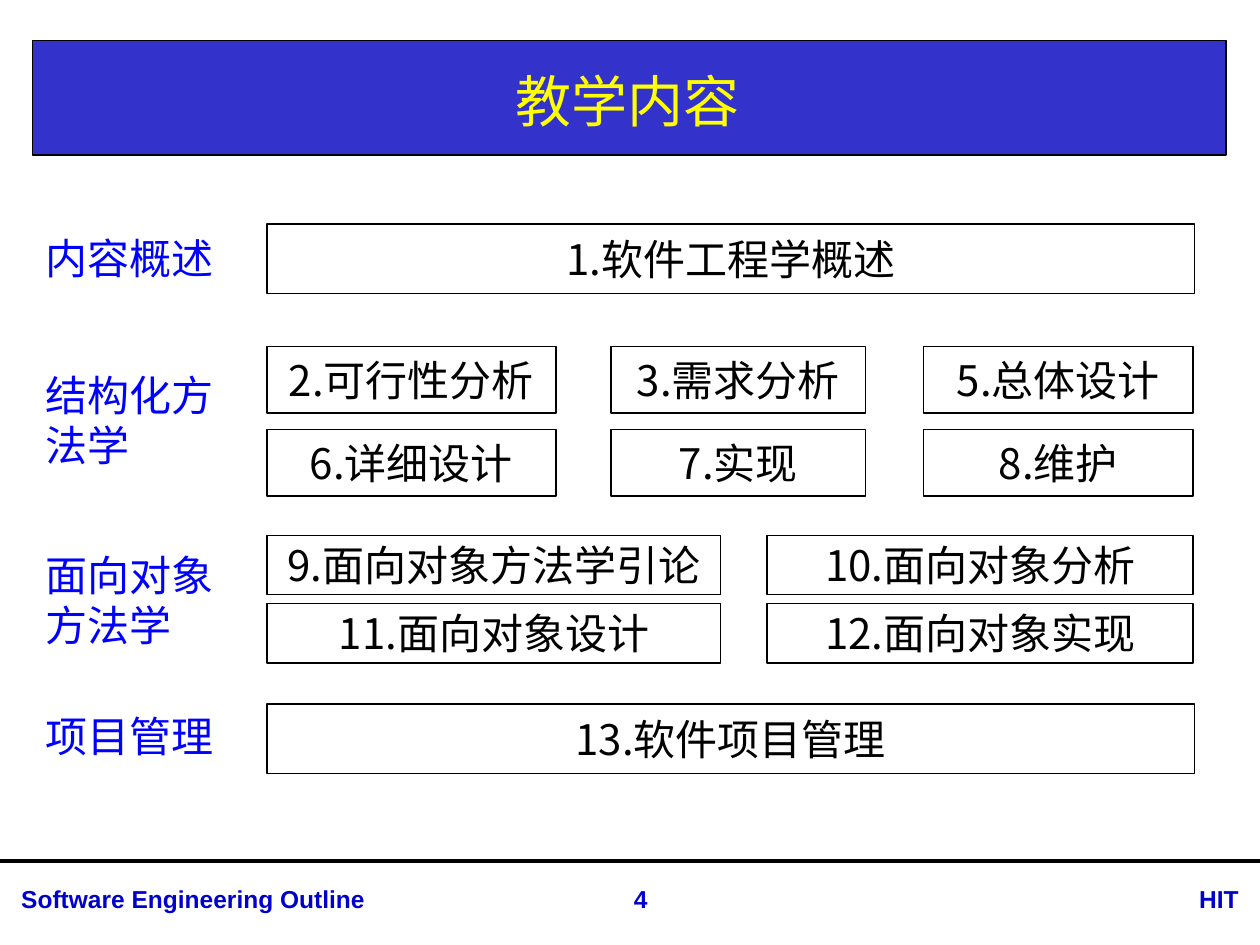
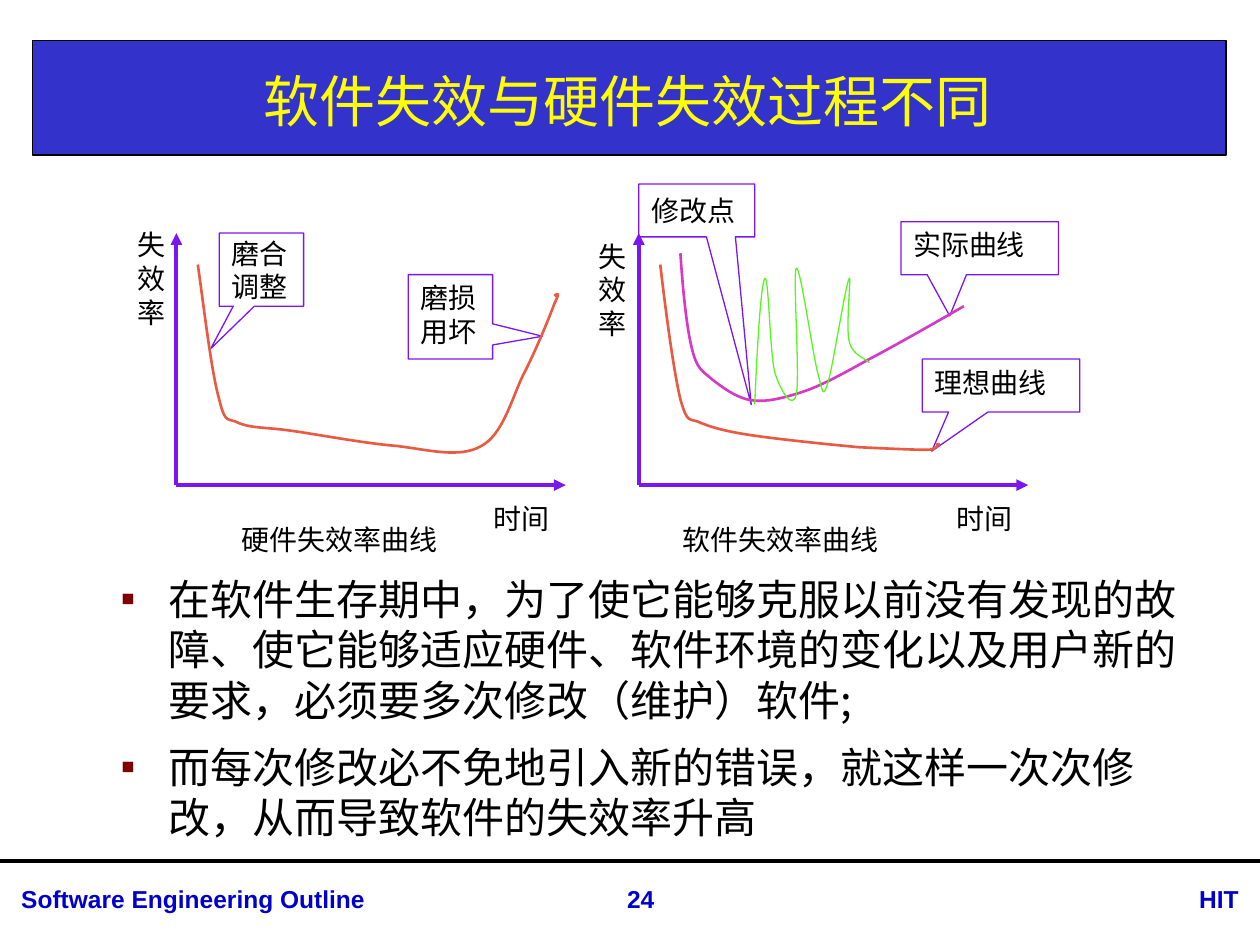
from lxml import etree
from pptx import Presentation
from pptx.dml.color import RGBColor
from pptx.enum import shapes, text
from pptx.oxml import ns
from pptx.util import Inches, Pt

BLACK = RGBColor(0x00, 0x00, 0x00)
BAND = RGBColor(0x33, 0x33, 0xCC)
YELLOW = RGBColor(0xFF, 0xFF, 0x00)
NAVY = RGBColor(0x00, 0x00, 0xCC)
BLUE = RGBColor(0x00, 0x00, 0xFF)
VIOLET = RGBColor(0x7A, 0x16, 0xF4)
RED = RGBColor(0xE8, 0x5A, 0x42)
PINK = RGBColor(0xD5, 0x39, 0xC6)
GREEN = RGBColor(0x58, 0xF6, 0x20)
MAROON = RGBColor(0x80, 0x00, 0x00)
HAN, SERIF, SANS = "Noto Sans CJK SC", "Times New Roman", "Arial"
LEFT, MID, RIGHT = text.PP_ALIGN.LEFT, text.PP_ALIGN.CENTER, text.PP_ALIGN.RIGHT
TOP, CENTER = text.MSO_ANCHOR.TOP, text.MSO_ANCHOR.MIDDLE

FULL = [(0, 7.36)]
HALVES = [(0, 3.6), (3.97, 3.38)]
THIRDS = [(0, 2.29), (2.73, 2.02), (5.21, 2.14)]
TOPICS = [
    ("内容概述", 1.8, 0.5, 1.78, 0.55, 0, FULL, ["1.软件工程学概述"]),
    ("结构化方法学", 2.88, 0.91, 2.75, 0.53, 0.66, THIRDS,
     ["2.可行性分析", "3.需求分析", "5.总体设计", "6.详细设计", "7.实现", "8.维护"]),
    ("面向对象方法学", 4.31, 0.91, 4.25, 0.47, 0.54, HALVES,
     ["9.面向对象方法学引论", "10.面向对象分析", "11.面向对象设计", "12.面向对象实现"]),
    ("项目管理", 5.59, 0.5, 5.59, 0.55, 0, FULL, ["13.软件项目管理"]),
]

WEAR = [(0.17, 0.25), (0.23, 0.68), (0.28, 1.11), (0.34, 1.32), (0.39, 1.53),
        (0.41, 1.46), (0.5, 1.51), (0.6, 1.55), (0.71, 1.54), (0.92, 1.57),
        (1.13, 1.6), (1.5, 1.67), (1.75, 1.69), (2, 1.72), (2.25, 1.79),
        (2.42, 1.69), (2.59, 1.6), (2.66, 1.32), (2.75, 1.13), (2.85, 0.94),
        (2.96, 0.67), (3, 0.56), (3.05, 0.46), (3.02, 0.48), (3, 0.5)]
IDEAL = [(0.17, 0.25), (0.22, 0.68), (0.28, 1.11), (0.33, 1.32), (0.39, 1.53),
         (0.4, 1.46), (0.5, 1.51), (0.6, 1.55), (0.72, 1.58), (0.93, 1.61),
         (1.14, 1.64), (1.53, 1.68), (1.75, 1.7), (1.97, 1.71), (2.17, 1.72),
         (2.28, 1.72), (2.38, 1.72), (2.36, 1.68), (2.38, 1.68), (2.39, 1.67),
         (2.36, 1.68), (2.36, 1.68)]
REAL = [(0.33, 0.16), (0.35, 0.46), (0.38, 0.75), (0.42, 0.91), (0.46, 1.08),
        (0.5, 1.09), (0.58, 1.16), (0.67, 1.23), (0.79, 1.32), (0.92, 1.33),
        (1.04, 1.34), (1.18, 1.3), (1.33, 1.25), (1.49, 1.19), (1.63, 1.11),
        (1.83, 1), (2.04, 0.89), (2.46, 0.65), (2.58, 0.58)]
CHANGE = [(0.92, 1.36), (0.94, 0.88), (0.97, 0.4), (1, 0.36), (1.03, 0.32),
          (1.04, 0.96), (1.08, 1.11), (1.13, 1.26), (1.22, 1.41), (1.25, 1.28),
          (1.28, 1.14), (1.22, 0.3), (1.25, 0.28), (1.28, 0.25), (1.38, 0.96),
          (1.42, 1.11), (1.46, 1.26), (1.46, 1.32), (1.5, 1.19), (1.54, 1.07),
          (1.64, 0.41), (1.67, 0.36), (1.69, 0.3), (1.64, 0.75), (1.67, 0.86),
          (1.69, 0.97), (1.81, 1), (1.83, 1.03)]
HARD_NOTES = [("磨合调整", (0.34, 0, 0.67, 0.58), (-0.6, 1.08), CENTER),
              ("磨损用坏", (1.84, 0.33, 0.67, 0.67), (1.09, 0.23), TOP)]
SOFT_NOTES = [("修改点", (0, -0.39, 0.92, 0.42), (0.47, 3.67), CENTER),
              ("实际曲线", (2.08, -0.09, 1.25, 0.42), (-0.19, 1.28), TOP),
              ("理想曲线", (2.25, 1, 1.25, 0.42), (-0.44, 1.24), TOP)]
HARD_LABELS = [("硬件失效率曲线", (0.42, 2.25, 2, 0.42), (-0.19, -0.16)),
               ("时间", (2.42, 2.08, 0.75, 0.33), (0.15, 0.43)),
               ("失效率", (-0.41, -0.09, 0.42, 1), (-0.63, -0.16))]
SOFT_LABELS = [("时间", (2.42, 2.08, 0.75, 0.33), (-0.11, 0.18)),
               ("失效率", (-0.42, 0, 0.42, 1), (-0.53, 0.3)),
               ("软件失效率曲线", (0.25, 2.25, 2, 0.42), (-0.2, 0.18))]
POINTS = ["在软件生存期中，为了使它能够克服以前没有发现的故障、使它能够适应硬件、"
          "软件环境的变化以及用户新的要求，必须要多次修改（维护）软件;",
          "而每次修改必不免地引入新的错误，就这样一次次修改，从而导致软件的失效率升高"]


def place(box):
    """Turn a box in inches into lengths."""
    return [Inches(round(n, 2)) for n in box]


def add_run(para, words, size, color, face=HAN, bold=False):
    """Add one styled run to a paragraph."""
    run = para.add_run()
    run.text = words
    font = run.font
    font.size, font.name, font.bold = Pt(size), face, bold
    font.color.rgb = color
    if face != SANS:
        para.line_spacing = Pt(round(size * 1.2, 1))
        etree.SubElement(run._r.get_or_add_rPr(), ns.qn("a:ea"), typeface=HAN)


def write(shape, words, size, color, face=HAN, align=LEFT, anchor=TOP, bold=False, wrap=True):
    """Fill a shape with one paragraph."""
    frame = shape.text_frame
    frame.word_wrap, frame.vertical_anchor = wrap, anchor
    para = frame.paragraphs[0]
    para.alignment = align
    add_run(para, words, size, color, face, bold)


def add_text(slide, box, *args, **style):
    """Add a text box holding one paragraph."""
    write(slide.shapes.add_textbox(*place(box)), *args, **style)


def add_box(slide, kind, box, color=None, width=1):
    """Add a shape without fill, outlined if a colour is given."""
    shape = slide.shapes.add_shape(kind, *place(box))
    shape.shadow.inherit = False
    shape.fill.background()
    if color is None:
        shape.line.fill.background()
    else:
        shape.line.color.rgb, shape.line.width = color, Pt(width)
    return shape


def add_line(slide, start, end, color, arrow=False):
    """Draw a straight line, with an arrowhead at its end if asked."""
    line = slide.shapes.add_connector(shapes.MSO_CONNECTOR.STRAIGHT, *place(start + end))
    line.line.color.rgb, line.line.width = color, Pt(2.25)
    if arrow:
        etree.SubElement(line.line._get_or_add_ln(), ns.qn("a:tailEnd"), type="triangle")
    etree.SubElement(line._element.spPr, ns.qn("a:effectLst"))


def add_curve(slide, left, top, knots, color, width):
    """Draw a chain of cubic curves relative to a corner."""
    dots = [place((left + x, top + y)) for x, y in knots]
    maker = slide.shapes.build_freeform(*dots[0])
    maker.add_line_segments(dots[1:], close=False)
    curve = maker.convert_to_shape()
    steps = list(curve._element.iter(ns.qn("a:lnTo")))
    for i in range(0, len(steps), 3):
        bend = etree.Element(ns.qn("a:cubicBezTo"))
        steps[i].addprevious(bend)
        for step in steps[i:i + 3]:
            bend.append(step[0])
            step.getparent().remove(step)
    curve.shadow.inherit = False
    curve.fill.background()
    curve.line.color.rgb, curve.line.width = color, Pt(width)


def add_note(slide, left, top, note, color=None):
    """Add a callout relative to a corner."""
    words, (x, y, width, height), tip, anchor = note
    shape = add_box(slide, shapes.MSO_SHAPE.RECTANGULAR_CALLOUT,
                    (left + x, top + y, width, height), color, 0.75)
    shape.adjustments[0], shape.adjustments[1] = tip
    write(shape, words, 16, BLACK, SERIF, anchor=anchor)


def add_frame(deck, name, number):
    """Add a slide with its title band and footer."""
    slide = deck.slides.add_slide(deck.slide_layouts[5])
    title = slide.shapes.title
    title.left, title.top, title.width, title.height = place((0.26, 0.36, 9.45, 0.87))
    write(title, name, 32, YELLOW, align=MID, anchor=CENTER)
    band = add_box(slide, shapes.MSO_SHAPE.RECTANGLE, (0.26, 0.32, 9.47, 0.91), BLACK, 0.75)
    band.fill.solid()
    band.fill.fore_color.rgb = BAND
    title._element.addprevious(band._element)
    add_line(slide, (0, 6.83), (10, 6.83), BLACK)
    for words, left, width, align in (("Software Engineering Outline", 0.07, 3.85, LEFT),
                                      ("HIT", 8.9, 1.03, RIGHT), (number, 4.57, 1.03, MID)):
        add_text(slide, (left, 6.97, width, 0.34), words, 14, NAVY, SANS, align, bold=True)
    return slide


def add_topic(slide, left, topic):
    """Add a topic label and its grid of chapters."""
    label, label_top, label_height, top, height, pitch, cols, names = topic
    add_text(slide, (left, label_top, 1.85, label_height), label, 24, BLUE)
    for i, name in enumerate(names):
        row, col = divmod(i, len(cols))
        x, width = cols[col]
        box = (left + 1.86 + x, top + row * pitch, width, height)
        shape = add_box(slide, shapes.MSO_SHAPE.RECTANGLE, box, BLACK)
        write(shape, name, 24, BLACK, align=MID, anchor=CENTER, wrap=False)


def add_graph(slide, left, top, curves, notes, labels):
    """Add a failure graph with axes, curves, notes and labels."""
    base = (left, top + 2)
    for note in notes:
        add_note(slide, left, top, note, VIOLET)
    add_line(slide, base, (left, top), VIOLET, True)
    add_line(slide, base, (left + 3.09, top + 2), VIOLET, True)
    for knots, color, width in curves:
        add_curve(slide, left, top, knots, color, width)
    for label in labels:
        add_note(slide, left, top, label + (TOP,))


def add_points(slide, box, points):
    """Add the bulleted text."""
    frame = slide.shapes.add_textbox(*place(box)).text_frame
    frame.word_wrap = True
    for i, words in enumerate(points):
        para = frame.add_paragraph() if i else frame.paragraphs[0]
        props = para._p.get_or_add_pPr()
        props.set("marL", str(Inches(0.38)))
        props.set("indent", str(Inches(-0.38)))
        props.set("hangingPunct", "0")
        tint = etree.SubElement(props, ns.qn("a:buClr"))
        etree.SubElement(tint, ns.qn("a:srgbClr"), val=str(MAROON))
        etree.SubElement(props, ns.qn("a:buFont"), typeface=SANS)
        etree.SubElement(props, ns.qn("a:buChar"), char="▪")
        para.space_before, para.space_after = Pt(4.8 if i else 0), Pt(4.8)
        add_run(para, words, 24, BLACK)


def main():
    """Build and save the deck."""
    deck = Presentation()
    deck.slide_width, deck.slide_height = Inches(10), Inches(7.5)
    outline = add_frame(deck, "教学内容", "4")
    for topic in TOPICS:
        add_topic(outline, 0.26, topic)
    failure = add_frame(deck, "软件失效与硬件失效过程不同", "24")
    add_graph(failure, 1.4, 1.85, [(WEAR, RED, 1.5)], HARD_NOTES, HARD_LABELS)
    add_graph(failure, 5.07, 1.85, [(REAL, PINK, 1.5), (CHANGE, GREEN, 0.75), (IDEAL, RED, 1.5)],
              SOFT_NOTES, SOFT_LABELS)
    add_points(failure, (0.86, 4.5, 8.75, 2.28), POINTS)
    deck.save("out.pptx")


if __name__ == "__main__":
    main()
